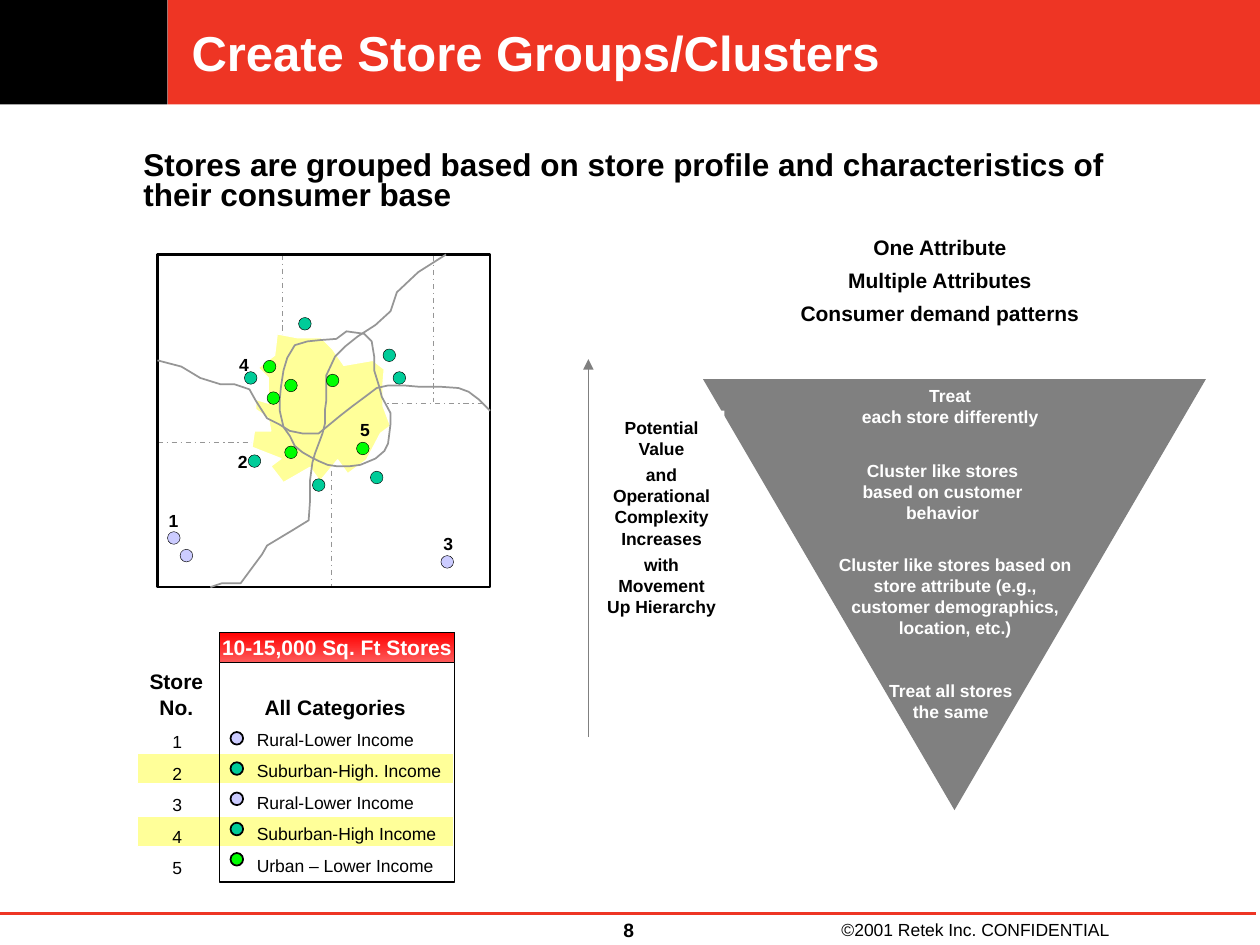
from lxml.etree import SubElement
from pptx import Presentation
from pptx.dml.color import RGBColor
from pptx.enum.dml import MSO_LINE
from pptx.enum.shapes import MSO_CONNECTOR, MSO_SHAPE
from pptx.enum.text import MSO_ANCHOR, MSO_AUTO_SIZE, PP_ALIGN
from pptx.oxml.ns import qn
from pptx.util import Cm, Pt

THEME = {
    "font": "Arial", "title": 28, "lead": 18, "heading": 12, "body": 10, "page": 11,
    "black": "000000", "white": "FFFFFF", "red": "EE3524", "gray": "808080",
    "road": "969696", "highlight": "FFFF99", "banner": ("FF0000", "FE5B5B"),
    "rural": "CCCCFF", "suburban": "00CC99", "urban": "00FF00",
}

# Every position below is in inches.
STORES = [("1", "Rural-Lower Income", "rural"), ("2", "Suburban-High. Income", "suburban"),
          ("3", "Rural-Lower Income", "rural"), ("4", "Suburban-High Income", "suburban"),
          ("5", "Urban – Lower Income", "urban")]
ATTRIBUTES = ["One Attribute", "Multiple Attributes", "Consumer demand patterns"]
HIERARCHY = [((6.33, 3.01, 2.42, 0.44), ["Treat", "each store differently"]),
             ((6.58, 3.6, 1.8, 0.6), ["Cluster like stores", "based on customer behavior"]),
             ((6.58, 4.35, 2, 0.77), ["Cluster like stores based on store attribute "
                                      "(e.g., customer demographics, location, etc.)"]),
             ((6.67, 5.35, 1.75, 0.44), ["Treat all stores", "the same"])]
VALUE_TEXT = ["Potential Value", "and Operational Complexity Increases",
              "with Movement Up Hierarchy"]

MAP_FRAME = (1.25, 2.02, 2.64, 2.64)
BORDERS = [((2.24, 2.02), (2.24, 3.18)), ((3.44, 2.03), (3.44, 3.19)),
           ((2.63, 3.51), (2.63, 4.67)), ((1.25, 3.51), (2.63, 3.51)),
           ((2.89, 3.2), (3.86, 3.2))]
URBAN_AREA = [
    (2.13, 3.2), (2.13, 3), (2.05, 2.92), (2.18, 2.82), (2.19, 2.74), (2.2, 2.65),
    (2.36, 2.68), (2.55, 2.68), (2.64, 2.77), (2.73, 2.9), (2.96, 2.86), (3.05, 2.93),
    (3.04, 3.05), (3.04, 3.22), (3.1, 3.38), (3.02, 3.44), (2.91, 3.65), (2.76, 3.76),
    (2.68, 3.65), (2.54, 3.82), (2.46, 3.71), (2.25, 3.83), (2.15, 3.7), (2.23, 3.64),
    (2, 3.55), (2.02, 3.42), (2.15, 3.42), (2.13, 3.32), (2.03, 3.25), (2.03, 3.17)]
NORTH_SOUTH_ROAD = [
    (3.54, 2.02), (3.32, 2.16), (3.15, 2.32), (3.1, 2.47), (2.98, 2.58), (2.84, 2.67),
    (2.74, 2.75), (2.66, 2.83), (2.59, 2.98), (2.59, 3.18), (2.58, 3.25), (2.58, 3.36),
    (2.56, 3.44), (2.5, 3.6), (2.48, 3.67), (2.46, 3.82), (2.46, 3.99), (2.45, 4.13),
    (2.32, 4.21), (2.12, 4.33), (2.08, 4.4), (1.91, 4.63), (1.76, 4.63), (1.67, 4.66)]
RING_ROAD = [
    (2.67, 2.69), (2.54, 2.7), (2.44, 2.71), (2.34, 2.74), (2.28, 2.84), (2.25, 2.94),
    (2.23, 3.07), (2.22, 3.17), (2.22, 3.26), (2.25, 3.39), (2.3, 3.46), (2.34, 3.54),
    (2.4, 3.59), (2.47, 3.63), (2.53, 3.66), (2.6, 3.69), (2.67, 3.7), (2.78, 3.7),
    (2.86, 3.69), (2.98, 3.64), (3.05, 3.58), (3.08, 3.52), (3.1, 3.36), (3.1, 3.28),
    (3.03, 3.15), (3.01, 3.07), (2.97, 2.94), (2.97, 2.83), (2.95, 2.71), (2.89, 2.65),
    (2.75, 2.63)]
WEST_EAST_ROAD = [
    (1.25, 2.86), (1.44, 2.91), (1.59, 3), (1.75, 3.05), (1.86, 3.05), (1.98, 3.09),
    (2.03, 3.18), (2.12, 3.32), (2.22, 3.37), (2.3, 3.42), (2.4, 3.44), (2.53, 3.44),
    (2.7, 3.3), (2.79, 3.23), (2.91, 3.14), (2.99, 3.08), (3.08, 3.06), (3.21, 3.06),
    (3.33, 3.07), (3.5, 3.07), (3.64, 3.08), (3.72, 3.11), (3.8, 3.17), (3.89, 3.26)]
MAP_DOTS = {
    "urban": [(2.09, 2.86), (2.12, 3.11), (2.26, 3.01), (2.59, 2.97), (2.26, 3.54),
              (2.83, 3.51)],
    "suburban": [(2.94, 3.74), (2.48, 3.8), (1.97, 3.61), (1.94, 2.95), (3.12, 2.95),
                 (3.04, 2.77), (2.37, 2.52)],
    "rural": [(1.43, 4.36), (3.5, 4.41), (1.33, 4.22)],
}
MAP_LABELS = {"1": (1.24, 4), "2": (1.79, 3.53), "3": (3.42, 4.18), "4": (1.8, 2.76),
              "5": (2.76, 3.28)}
DOT = 0.1


def inches(value):
    return Cm(value * 2.54)


def color(name):
    return RGBColor.from_string(THEME[name])


def style(shape, fill=None, line=None, width=0.75):
    shape.shadow.inherit = False
    if fill:
        shape.fill.solid()
        shape.fill.fore_color.rgb = color(fill)
    else:
        shape.fill.background()
    if line:
        shape.line.color.rgb = color(line)
        shape.line.width = Pt(width)
    else:
        shape.line.fill.background()
    return shape


def add_box(box, fill=None, line=None, width=0.75, kind=MSO_SHAPE.RECTANGLE):
    shape = slide.shapes.add_shape(kind, *map(inches, box))
    return style(shape, fill, line, width)


def add_dot(left, top, group, width):
    add_box((left, top, DOT, DOT), group, "black", width, MSO_SHAPE.OVAL)


def add_path(points, closed=False, fill=None, line="road", width=1):
    (start, *rest) = [(inches(x), inches(y)) for x, y in points]
    builder = slide.shapes.build_freeform(*start, scale=1.0)
    builder.add_line_segments(rest, close=closed)
    style(builder.convert_to_shape(), fill, line, width)


def add_line(start, end, line, width):
    connector = slide.shapes.add_connector(
        MSO_CONNECTOR.STRAIGHT, *map(inches, (*start, *end)))
    connector.line.color.rgb = color(line)
    connector.line.width = Pt(width)
    SubElement(connector._element.spPr, qn("a:effectLst"))
    return connector


def write(shape, texts, size="body", ink="black", bold=True, align=PP_ALIGN.CENTER,
          wrap=True, inset=0.1, grow=True, anchor=MSO_ANCHOR.TOP, spacing=None, before=0):
    frame = shape.text_frame
    frame.text = "\n".join(texts)
    frame.word_wrap = wrap
    frame.auto_size = MSO_AUTO_SIZE.SHAPE_TO_FIT_TEXT if grow else MSO_AUTO_SIZE.NONE
    frame.vertical_anchor = anchor
    frame.margin_left = frame.margin_right = inches(inset)
    frame.margin_top = frame.margin_bottom = inches(0.05)
    for index, paragraph in enumerate(frame.paragraphs):
        paragraph.alignment = align
        paragraph.line_spacing = spacing
        paragraph.space_before = Pt(before if index else 0)
        paragraph.font.name = THEME["font"]
        paragraph.font.size = Pt(THEME[size])
        paragraph.font.bold = bold
        paragraph.font.color.rgb = color(ink)


def add_text(box, texts, **options):
    write(slide.shapes.add_textbox(*map(inches, box)), texts, **options)


presentation = Presentation()
presentation.slide_width, presentation.slide_height = inches(10), inches(7.5)
slide = presentation.slides.add_slide(presentation.slide_layouts[5])

# Header and footer
add_box((1.33, 0, 8.67, 0.83), "red")
add_box((0, 0, 1.33, 0.83), "black")
title = slide.shapes.title
title.left, title.top, title.width, title.height = map(inches, (1.42, 0, 6.42, 0.83))
write(title, ["Create Store Groups/Clusters"], size="title", ink="white",
      align=PP_ALIGN.LEFT, grow=False, anchor=MSO_ANCHOR.MIDDLE)
slide.shapes._spTree.append(title._element)  # in front of the header bars
add_line((0, 7.25), (9.97, 7.25), "red", 1.5)
add_text((6.58, 7.27, 2.08, 0.22), ["©2001 Retek Inc. CONFIDENTIAL"], bold=False,
         align=PP_ALIGN.LEFT, wrap=False, grow=False, anchor=MSO_ANCHOR.MIDDLE)
add_text((4.28, 7.24, 1.42, 0.29), ["8"], size="page")
add_text((1.04, 1.16, 8.13, 0.58),
         ["Stores are grouped based on store profile and characteristics of "
          "their consumer base"], size="lead", align=PP_ALIGN.LEFT, spacing=0.8)

# Store list
for row in (1, 3):
    add_box((1.09, 5.73 + 0.25 * row, 2.51, 0.24), "highlight", "white")
numbers, labels, groups = zip(*STORES)
add_text((1.27, 5.67, 0.27, 1.35), numbers, bold=False, wrap=False, spacing=1.5)
add_text((1.94, 5.65, 1.66, 1.35), labels, bold=False, wrap=False, spacing=1.5,
         align=PP_ALIGN.LEFT)
add_text((1, 5.26, 0.8, 0.5), ["Store", "No."], size="heading")
add_text((2, 5.46, 1.32, 0.3), ["All Categories"], size="heading", wrap=False)
add_box((1.74, 5.02, 1.87, 1.98), line="black")
banner = add_box((1.74, 5.02, 1.87, 0.24), line="black")
banner.fill.gradient()
banner.fill.gradient_angle = 270
for stop, value in zip(banner.fill.gradient_stops, THEME["banner"]):
    stop.color.rgb = RGBColor.from_string(value)
write(banner, ["10-15,000 Sq. Ft Stores"], size="heading", ink="white", wrap=False,
      grow=False, anchor=MSO_ANCHOR.MIDDLE)
for row, group in enumerate(groups):
    add_dot(1.83, 5.81 + 0.24 * row, group, 1)

# Hierarchy
triangle = add_box((5.58, 3.01, 3.99, 3.42), "gray", kind=MSO_SHAPE.ISOSCELES_TRIANGLE)
triangle.rotation = 180
for box, texts in HIERARCHY:
    add_text(box, texts, ink="white", inset=0.05)
write(add_box((4.75, 3.26, 1, 1.69), "white"), VALUE_TEXT, inset=0.05, before=3.1)
arrow = add_line((4.67, 5.85), (4.67, 2.85), "gray", 1)
SubElement(arrow.line._get_or_add_ln(), qn("a:tailEnd"), type="triangle")
add_text((6, 1.85, 2.92, 0.79), ATTRIBUTES, size="heading", spacing=0.8, before=7.5)

# Store map
for start, end in BORDERS:
    add_line(start, end, "road", 0.75).line.dash_style = MSO_LINE.DASH_DOT
add_box(MAP_FRAME, line="black", width=1.5)
add_path(URBAN_AREA, closed=True, fill="highlight", line="white", width=0.75)
add_path(NORTH_SOUTH_ROAD)
add_path(RING_ROAD, closed=True)
add_path(WEST_EAST_ROAD)
for group, places in MAP_DOTS.items():
    for left, top in places:
        add_dot(left, top, group, 0.25)
for number, (left, top) in MAP_LABELS.items():
    add_text((left, top, 0.27, 0.27), [number], align=PP_ALIGN.LEFT, wrap=False)

presentation.save("out.pptx")
